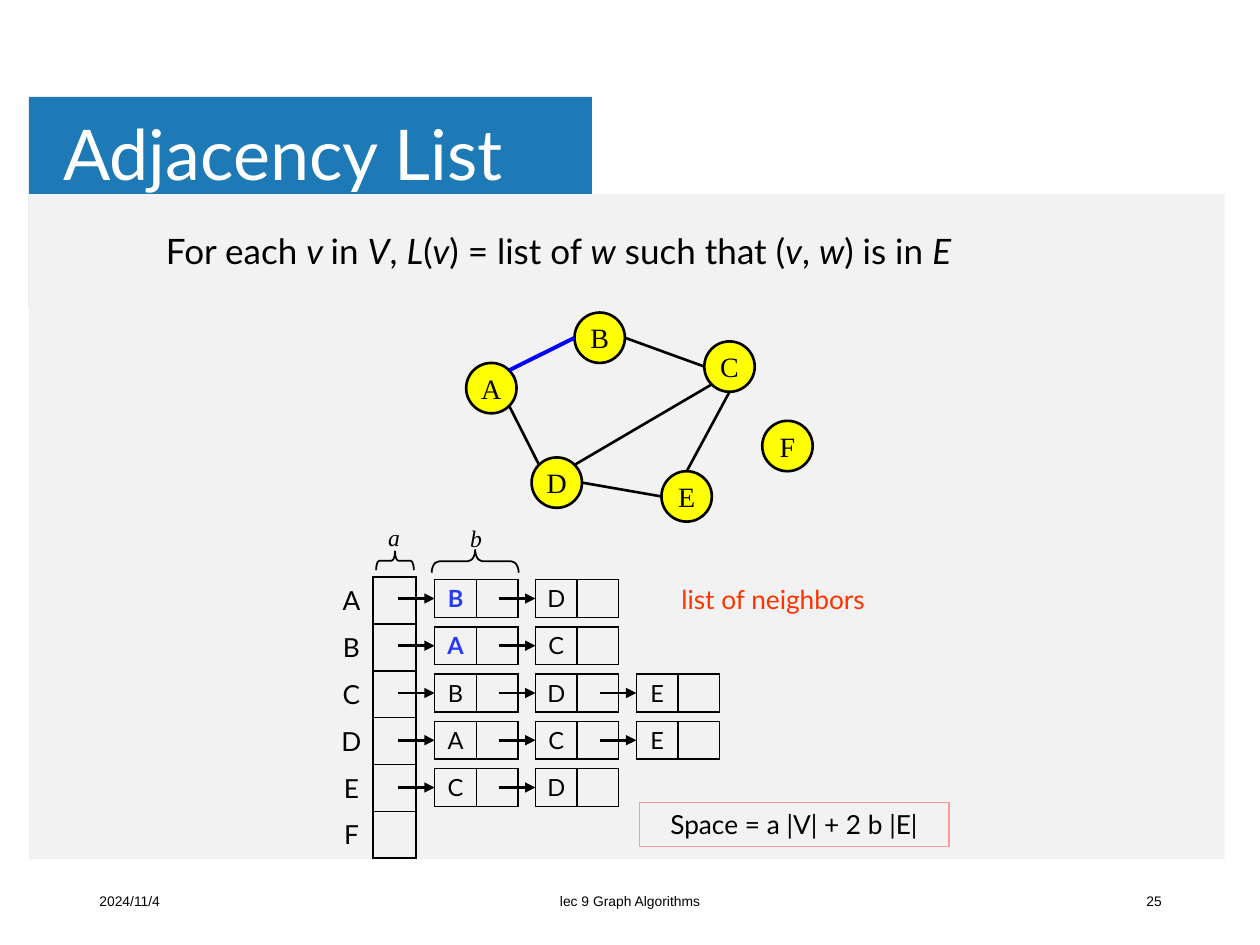
from math import cos, sin, pi
from lxml.etree import SubElement
from pptx import Presentation
from pptx.dml.color import RGBColor
from pptx.enum.shapes import MSO_CONNECTOR, MSO_SHAPE
from pptx.enum.text import MSO_ANCHOR, PP_ALIGN
from pptx.oxml.ns import qn
from pptx.util import Pt

rgb = RGBColor.from_string
LEFT, MID, RIGHT = PP_ALIGN.LEFT, PP_ALIGN.CENTER, PP_ALIGN.RIGHT
TOP, CORE = MSO_ANCHOR.TOP, MSO_ANCHOR.MIDDLE
SERIF = "Times New Roman"

deck = Presentation()
deck.slide_width, deck.slide_height = Pt(720), Pt(540)
slide = deck.slides.add_slide(deck.slide_layouts[6])
shapes = slide.shapes


def style(para, size, face, hue="000000", align=LEFT):
    para.alignment = align
    for run in para.runs:
        run.font.size = Pt(size)
        run.font.name = face
        run.font.color.rgb = rgb(hue)


def draw(x1, y1, x2, y2, hue="000000", wide=1.5):
    line = shapes.add_connector(
        MSO_CONNECTOR.STRAIGHT, Pt(x1), Pt(y1), Pt(x2), Pt(y2))
    line.line.color.rgb = rgb(hue)
    line.line.width = Pt(wide)
    SubElement(line._element.spPr, qn("a:effectLst"))
    return line


for top, wide, high, hue in [(55.4, 321.8, 120.2, "1E7AB6"),
                             (110.9, 683.3, 380.2, "F2F2F2")]:
    panel = shapes.add_shape(
        MSO_SHAPE.RECTANGLE, Pt(16.5), Pt(top), Pt(wide), Pt(high))
    panel.shadow.inherit = False
    panel.fill.solid()
    panel.fill.fore_color.rgb = rgb(hue)
    panel.line.fill.background()

texts = [
    ("Adjacency List", 31, 54.7, 578, 70.6, 40, "Lato", "FFFFFF", LEFT, CORE),
    ("2024/11/4", 49.7, 500.4, 162, 28.8, 7.9, "Arial", "000000", LEFT, CORE),
    ("lec 9 Graph Algorithms", 238.3, 500.4, 243.4, 28.8, 7.9, "Arial",
     "000000", MID, CORE),
    ("25", 509, 500.4, 162, 28.8, 7.9, "Arial", "000000", RIGHT, CORE),
    ("a", 217.4, 295.2, 11.5, 23.8, 13.5, SERIF, "000000", LEFT, TOP),
    ("b", 264.2, 295.9, 11.5, 23.8, 13.5, SERIF, "000000", LEFT, TOP),
    ("list of neighbors", 382.3, 329.8, 126.7, 43.2, 15, "Lato", "FF3300",
     LEFT, TOP),
]
for words, x, y, wide, high, size, face, hue, align, anchor in texts:
    frame = shapes.add_textbox(Pt(x), Pt(y), Pt(wide), Pt(high)).text_frame
    frame.word_wrap = True
    frame.vertical_anchor = anchor
    para = frame.paragraphs[0]
    para.text = words
    style(para, size, face, hue, align)
    if size == 40:
        para.line_spacing = 0.9
        frame.margin_left = frame.margin_right = Pt(5)
        frame.margin_top = frame.margin_bottom = Pt(2.7)
    if face == SERIF:
        para.runs[0].font.italic = True

frame = shapes.add_textbox(Pt(87.8), Pt(133.9), Pt(580.3), Pt(24.5)).text_frame
frame.word_wrap = True
para = frame.paragraphs[0]
para.line_spacing = 0.7
parts = ["For each ", "v ", "in ", "V", ", ", "L", "(", "v", ") = list of ",
         "w", " such that (", "v", ", ", "w", ") is in ", "E"]
for i, part in enumerate(parts):
    run = para.add_run()
    run.text = part
    run.font.italic = i % 2 == 1
style(para, 20, "Lato")

size = 28.8
spots = {"A": (266.4, 207.4), "B": (328.3, 178.6), "C": (402.5, 195.1),
         "D": (303.8, 261.4), "E": (378, 269.3), "F": (435.6, 240.5)}
nodes = {}
for name, (x, y) in spots.items():
    node = shapes.add_shape(MSO_SHAPE.OVAL, Pt(x), Pt(y), Pt(size), Pt(size))
    node.shadow.inherit = False
    node.fill.solid()
    node.fill.fore_color.rgb = rgb("FFFF00")
    node.line.color.rgb = rgb("000000")
    node.line.width = Pt(1.5)
    frame = node.text_frame
    frame.text = name
    frame.word_wrap = False
    frame.vertical_anchor = CORE
    style(frame.paragraphs[0], 16, SERIF, align=MID)
    nodes[name] = node

edges = ["C4E0", "D6E2", "A5D1", "C3D7", "B6C2", "A7B2"]
for edge in edges:
    ends = [(edge[0], int(edge[1])), (edge[2], int(edge[3]))]
    track = []
    for name, site in ends:
        x, y = spots[name]
        turn = site * pi / 4
        track += [x + size / 2 * (1 - sin(turn)),
                  y + size / 2 * (1 - cos(turn))]
    look = ("0000FF", 2.25) if edge == "A7B2" else ("000000", 1.5)
    line = draw(*track, *look)
    joints = line._element.nvCxnSpPr.cNvCxnSpPr
    for tag, (name, site) in zip(["a:stCxn", "a:endCxn"], ends):
        SubElement(joints, qn(tag), id=str(nodes[name].shape_id),
                   idx=str(site))

space = shapes.add_shape(
    MSO_SHAPE.RECTANGLE, Pt(365.3), Pt(458.4), Pt(177), Pt(25.3))
space.shadow.inherit = False
space.fill.background()
space.line.color.rgb = rgb("FF9999")
space.line.width = Pt(0.75)
frame = space.text_frame
frame.text = "Space = a |V| + 2 b |E|"
frame.word_wrap = False
frame.vertical_anchor = CORE
style(frame.paragraphs[0], 15, "Lato", align=MID)

for x, y, wide, high, bend in [(220.3, 309.6, 10.8, 21.6, 0.17),
                               (265, 295.9, 13, 49.7, 0.32)]:
    brace = shapes.add_shape(
        MSO_SHAPE.LEFT_BRACE, Pt(x), Pt(y), Pt(wide), Pt(high))
    brace.rotation = 90
    brace.adjustments[0] = bend
    brace.shadow.inherit = False
    brace.fill.background()
    brace.line.color.rgb = rgb("000000")
    brace.line.width = Pt(1)

grids = [(213.1, 329.8, 24.5, 26.76, [[""]] * 6, 15, True),
         (188.6, 329.8, 24.5, 26.76, [[c] for c in "ABCDEF"], 15, False)]
for i, names in enumerate(["BD", "AC", "BDE", "ACE", "CD"]):
    for j, name in enumerate(names):
        x = 248.4 + 57.6 * j
        grids.append((x, 331.2 + 27 * i, 23.8, 21.6, [[name, ""]], 13.5, True))
        arrow = draw(x - 21, 342 + 27 * i, x, 342 + 27 * i)
        SubElement(arrow.line._get_or_add_ln(), qn("a:tailEnd"),
                   type="triangle")

for x, y, wide, high, rows, size, ruled in grids:
    cols = len(rows[0])
    table = shapes.add_table(len(rows), cols, Pt(x), Pt(y), Pt(wide * cols),
                             Pt(high * len(rows))).table
    table.first_row = table.horz_banding = False
    for r, row in enumerate(rows):
        table.rows[r].height = Pt(high)
        for c, word in enumerate(row):
            table.columns[c].width = Pt(wide)
            cell = table.cell(r, c)
            cell.margin_left = cell.margin_right = Pt(5)
            cell.margin_top = cell.margin_bottom = Pt(2.7)
            cell.vertical_anchor = TOP if cols == 2 else CORE
            for side in "LRTB":
                rule = SubElement(cell._tc.get_or_add_tcPr(),
                                  qn("a:ln" + side), w="12700")
                if ruled:
                    fill = SubElement(rule, qn("a:solidFill"))
                    SubElement(fill, qn("a:srgbClr"), val="000000")
                else:
                    SubElement(rule, qn("a:noFill"))
            cell.fill.background()
            para = cell.text_frame.paragraphs[0]
            if not word:
                SubElement(para._p, qn("a:endParaRPr"), sz="1000")
                continue
            para.text = word
            blue = cols == 2 and x < 250 and y < 360
            style(para, size, "Lato", "263AF8" if blue else "000000", MID)
            para.runs[0].font.bold = blue

deck.save("out.pptx")
